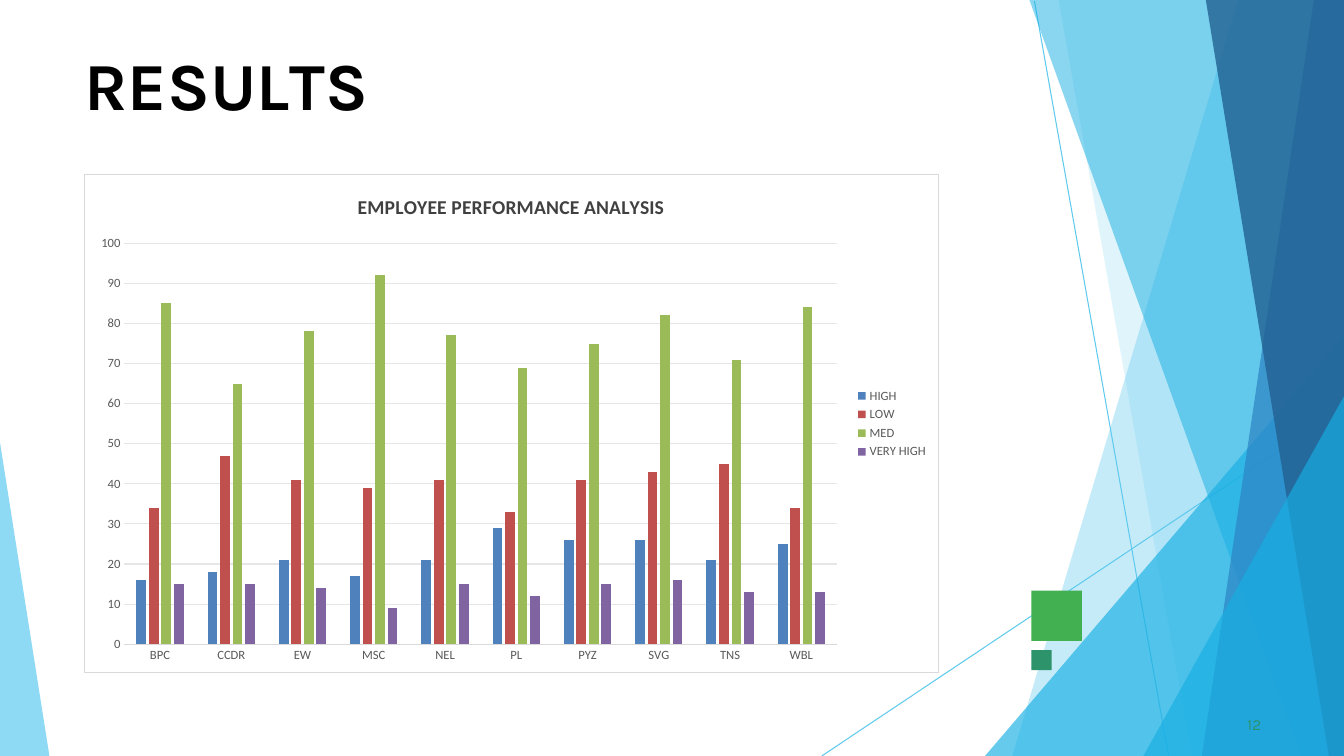
from lxml.etree import SubElement
from pptx import Presentation
from pptx.chart.data import CategoryChartData
from pptx.dml.color import RGBColor
from pptx.enum.chart import XL_CHART_TYPE, XL_LEGEND_POSITION, XL_TICK_MARK
from pptx.enum.shapes import MSO_CONNECTOR, MSO_SHAPE
from pptx.enum.text import MSO_ANCHOR, PP_ALIGN
from pptx.oxml.ns import qn
from pptx.util import Inches, Pt

WIDTH, HEIGHT = 13.33, 7.5
SKY, CYAN = "5FCAEE", "17AFE3"

# Translucent facets: corner points, colour, opacity in percent
FACETS = [
    ([(WIDTH, 0), (12.28, 0), (10.04, HEIGHT), (WIDTH, HEIGHT)], SKY, 36),
    ([(WIDTH, 0), (10.5, 0), (11.82, HEIGHT), (WIDTH, HEIGHT)], SKY, 20),
    ([(WIDTH, 3.33), (9.77, HEIGHT), (WIDTH, HEIGHT)], CYAN, 66),
    ([(WIDTH, 0), (10.21, 0), (12.91, HEIGHT), (WIDTH, HEIGHT)], CYAN, 50),
    ([(WIDTH, 0), (13.03, 0), (11.92, HEIGHT), (WIDTH, HEIGHT)], "2D83C3", 70),
    ([(WIDTH, 0), (11.96, 0), (13.18, HEIGHT), (WIDTH, HEIGHT)], "226192", 80),
    ([(WIDTH, 3.93), (11.34, HEIGHT), (WIDTH, HEIGHT)], CYAN, 66),
    ([(0, 4.39), (0, HEIGHT), (0.49, HEIGHT)], SKY, 70),
]

# Title letters with their spacing in points
TITLE_RUNS = [("R", 0), ("E", -0.4), ("S", 0.1), ("U", -0.3), ("L", -4), ("TS", 0)]

DEPARTMENTS = ["BPC", "CCDR", "EW", "MSC", "NEL", "PL", "PYZ", "SVG", "TNS", "WBL"]
RATINGS = [
    ("HIGH", "4F81BD", [16, 18, 21, 17, 21, 29, 26, 26, 21, 25]),
    ("LOW", "C0504D", [34, 47, 41, 39, 41, 33, 41, 43, 45, 34]),
    ("MED", "9BBB59", [85, 65, 78, 92, 77, 69, 75, 82, 71, 84]),
    ("VERY HIGH", "8064A2", [15, 15, 14, 9, 15, 12, 15, 16, 13, 13]),
]


def rgb(color):
    return RGBColor.from_string(color)


def paint(part, color, opacity=100):
    part.shadow.inherit = False
    part.fill.solid()
    part.fill.fore_color.rgb = rgb(color)
    part.line.fill.background()
    if opacity < 100:
        fill_color = part.fill._xPr.find(qn("a:solidFill"))[0]
        SubElement(fill_color, qn("a:alpha")).set("val", str(opacity * 1000))


def add_facet(slide, points, color, opacity):
    corners = [(Inches(x), Inches(y)) for x, y in points]
    builder = slide.shapes.build_freeform(*corners[0])
    builder.add_line_segments(corners[1:], close=True)
    paint(builder.convert_to_shape(), color, opacity)


def add_ray(slide, x1, y1, x2, y2):
    ray = slide.shapes.add_connector(
        MSO_CONNECTOR.STRAIGHT, Inches(x1), Inches(y1), Inches(x2), Inches(y2))
    ray.line.color.rgb = rgb(SKY)
    ray.line.width = Pt(0.75)
    SubElement(ray._element.spPr, qn("a:effectLst"))


def add_square(slide, left, top, side, color):
    square = slide.shapes.add_shape(
        MSO_SHAPE.RECTANGLE, Inches(left), Inches(top), Inches(side), Inches(side))
    paint(square, color)


def set_font(font, size, color, bold=False, name="Calibri"):
    font.name, font.size, font.bold = name, Pt(size), bold
    font.color.rgb = rgb(color)


def write_text(holder, runs, size, color, bold=False, before=0, indent=0):
    """Fill a text holder with (text, letter spacing) runs."""
    frame = holder.text_frame
    frame.word_wrap = True
    frame.vertical_anchor = MSO_ANCHOR.TOP
    frame.margin_left = frame.margin_right = frame.margin_bottom = 0
    frame.margin_top = Inches(0.01)
    paragraph = frame.paragraphs[0]
    paragraph.alignment = PP_ALIGN.LEFT
    paragraph.space_before = Pt(before)
    paragraph._p.get_or_add_pPr().set("marL", str(Inches(indent)))
    for text, spacing in runs:
        run = paragraph.add_run()
        run.text = text
        set_font(run.font, size, color, bold, "Karla")
        run.font._element.set("spc", str(round(spacing * 100)))


def place(part, left, top, width, height):
    part.left, part.top = Inches(left), Inches(top)
    part.width, part.height = Inches(width), Inches(height)


def frame_chart(chart):
    """White chart background with a thin grey border."""
    area = chart._chartSpace.makeelement(qn("c:spPr"))
    chart._chartSpace.chart.addnext(area)
    fill = SubElement(area, qn("a:solidFill"))
    SubElement(fill, qn("a:srgbClr")).set("val", "FFFFFF")
    border = SubElement(area, qn("a:ln"))
    border.set("w", str(Pt(0.75)))
    border_fill = SubElement(border, qn("a:solidFill"))
    SubElement(border_fill, qn("a:srgbClr")).set("val", "D9D9D9")


def add_performance_chart(slide):
    data = CategoryChartData()
    data.categories = DEPARTMENTS
    for name, _, values in RATINGS:
        data.add_series(name, values)
    chart = slide.shapes.add_chart(
        XL_CHART_TYPE.COLUMN_CLUSTERED, Inches(0.83), Inches(1.73),
        Inches(8.48), Inches(4.95), data).chart
    set_font(chart.font, 10, "000000")
    frame_chart(chart)

    # Title and legend
    heading = chart.chart_title.text_frame.paragraphs[0].add_run()
    heading.text = "EMPLOYEE PERFORMANCE ANALYSIS"
    set_font(heading.font, 14, "404040", bold=True)
    chart.chart_title.include_in_layout = False
    chart.has_legend = True
    chart.legend.position = XL_LEGEND_POSITION.RIGHT
    chart.legend.include_in_layout = False
    set_font(chart.legend.font, 9, "595959")

    # Axes
    for axis in (chart.category_axis, chart.value_axis):
        axis.major_tick_mark = axis.minor_tick_mark = XL_TICK_MARK.NONE
        set_font(axis.tick_labels.font, 9, "595959")
    chart.category_axis.format.line.color.rgb = rgb("D9D9D9")
    chart.category_axis.format.line.width = Pt(0.75)
    scale = chart.value_axis
    scale.minimum_scale, scale.maximum_scale, scale.major_unit = 0, 100, 10
    scale.format.line.fill.background()
    scale.major_gridlines.format.line.color.rgb = rgb("E6E6E6")
    scale.major_gridlines.format.line.width = Pt(0.75)

    # Columns
    plot = chart.plots[0]
    plot.gap_width, plot.overlap, plot.vary_by_categories = 246, -28, False
    for columns, (_, color, _) in zip(plot.series, RATINGS):
        columns.format.fill.solid()
        columns.format.fill.fore_color.rgb = rgb(color)


def main():
    deck = Presentation()
    deck.slide_width, deck.slide_height = Inches(WIDTH), Inches(HEIGHT)
    slide = deck.slides.add_slide(deck.slide_layouts[5])

    # Background decoration
    add_ray(slide, 10.26, 0.01, 11.59, HEIGHT)
    add_ray(slide, WIDTH, 4.04, 8.15, HEIGHT)
    for points, color, opacity in FACETS:
        add_facet(slide, points, color, opacity)
    add_square(slide, 10.23, 5.86, 0.5, "42AF51")
    add_square(slide, 10.23, 6.45, 0.2, "2D936B")

    # Title and slide number
    title = slide.shapes.title
    place(title, 0.83, 0.42, 11.68, 0.83)
    write_text(title, TITLE_RUNS, 48, "000000", bold=True, before=1.1, indent=0.01)
    page_number = slide.shapes.add_textbox(
        Inches(12.33), Inches(7.08), Inches(0.25), Inches(0.21))
    write_text(page_number, [("12", 0.1)], 11, "2D936B", before=0.6, indent=0.04)

    add_performance_chart(slide)
    deck.save("out.pptx")


if __name__ == "__main__":
    main()
